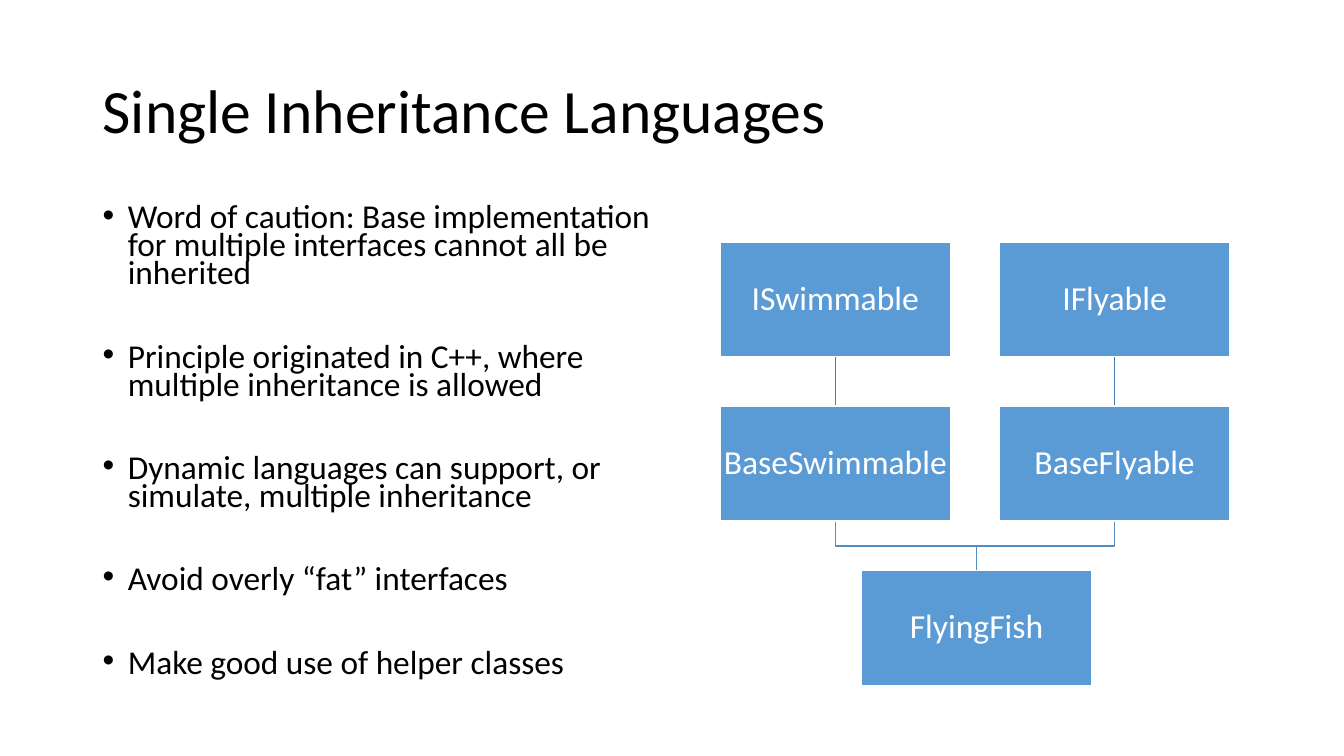
from pptx import Presentation
from pptx.dml.color import RGBColor
from pptx.enum.shapes import MSO_CONNECTOR, MSO_SHAPE
from pptx.enum.text import MSO_ANCHOR, PP_ALIGN
from pptx.oxml.ns import qn
from pptx.util import Inches, Pt
from lxml import etree

BLACK = RGBColor(0, 0, 0)
WHITE = RGBColor(255, 255, 255)
BLUE = RGBColor(0x5B, 0x9B, 0xD5)
STEEL = RGBColor(0x49, 0x7C, 0xAB)
SKY = RGBColor(0x53, 0x8D, 0xC1)
STRAIGHT = MSO_CONNECTOR.STRAIGHT
RECT = MSO_SHAPE.RECTANGLE
MIDDLE = MSO_ANCHOR.MIDDLE
CENTER = PP_ALIGN.CENTER
FONT = "Calibri"

TITLE = "Single Inheritance Languages"
POINTS = [
    "Word of caution: Base implementation for multiple interfaces cannot all be inherited",
    "Principle originated in C++, where multiple inheritance is allowed",
    "Dynamic languages can support, or simulate, multiple inheritance",
    "Avoid overly “fat” interfaces",
    "Make good use of helper classes",
]
CHAINS = [("ISwimmable", "BaseSwimmable"), ("IFlyable", "BaseFlyable")]
CHILD = "FlyingFish"


def style(para, size, color, spacing):
    para.font.name = FONT
    para.font.size = Pt(size)
    para.font.color.rgb = color
    para.line_spacing = spacing


def add_frame(slide, left, top, width, height):
    box = slide.shapes.add_textbox(
        Inches(left), Inches(top), Inches(width), Inches(height))
    box.text_frame.word_wrap = True
    return box.text_frame


def add_title(slide, left, top, width, height):
    frame = add_frame(slide, left, top, width, height)
    frame.vertical_anchor = MIDDLE
    frame.text = TITLE
    style(frame.paragraphs[0], 44, BLACK, 0.9)


def add_points(slide, left, top, width, height):
    frame = add_frame(slide, left, top, width, height)
    frame.text = "\n".join(POINTS)
    for i, para in enumerate(frame.paragraphs):
        style(para, 23.8, BLACK, 0.7)
        para.space_before = Pt(39.5 if i else 0)
        props = para._p.get_or_add_pPr()
        props.set("marL", str(Inches(0.25)))
        props.set("indent", str(-Inches(0.25)))
        font = etree.SubElement(props, qn("a:buFont"))
        font.set("typeface", "Arial")
        mark = etree.SubElement(props, qn("a:buChar"))
        mark.set("char", "•")
        props.append(props.find(qn("a:defRPr")))


def add_node(slide, text, left, top, width, height):
    node = slide.shapes.add_shape(
        RECT, Inches(left), Inches(top), Inches(width), Inches(height))
    node.shadow.inherit = False
    node.fill.solid()
    node.fill.fore_color.rgb = BLUE
    node.line.color.rgb = WHITE
    node.line.width = Pt(1)
    frame = node.text_frame
    frame.word_wrap = True
    frame.vertical_anchor = MIDDLE
    frame.margin_left = frame.margin_right = Inches(0.02)
    frame.margin_top = frame.margin_bottom = Inches(0.02)
    frame.text = text
    para = frame.paragraphs[0]
    para.alignment = CENTER
    style(para, 24, WHITE, 0.9)


def add_link(slide, x, top, bottom):
    link = slide.shapes.add_connector(
        STRAIGHT, Inches(x), Inches(top), Inches(x), Inches(bottom))
    link.line.color.rgb = STEEL
    link.line.width = Pt(1)
    etree.SubElement(link._element.spPr, qn("a:effectLst"))


def add_elbow(slide, start, end):
    (x1, y1), (x2, y2) = start, end
    mid = (y1 + y2) / 2
    pen = slide.shapes.build_freeform(Inches(x1), Inches(y1))
    turns = [(x1, mid), (x2, mid), (x2, y2)]
    pen.add_line_segments(
        [(Inches(x), Inches(y)) for x, y in turns], close=False)
    elbow = pen.convert_to_shape()
    elbow.shadow.inherit = False
    elbow.fill.background()
    elbow.line.color.rgb = SKY
    elbow.line.width = Pt(1)


def add_tree(slide, left, top, width, height):
    wide, high = 2.29, 1.14
    step = (height - high) / 2
    rows = [top + i * step for i in range(3)]
    cols = [left, left + width - wide]
    mid = left + 1.4
    for x in cols:
        axis = x + wide / 2
        add_link(slide, axis, rows[0] + high, rows[1])
        add_elbow(slide, (axis, rows[1] + high), (mid + wide / 2, rows[2]))
    for x, chain in zip(cols, CHAINS):
        for y, name in zip(rows, chain):
            add_node(slide, name, x, y, wide, high)
    add_node(slide, CHILD, mid, rows[2], wide, high)


def main():
    deck = Presentation()
    deck.slide_width = Inches(13.33)
    deck.slide_height = Inches(7.5)
    slide = deck.slides.add_slide(deck.slide_layouts[6])
    add_title(slide, 0.92, 0.4, 11.5, 1.45)
    add_points(slide, 0.92, 2, 5.67, 4.97)
    add_tree(slide, 7.14, 2.4, 5.06, 4.4)
    deck.save("out.pptx")


if __name__ == "__main__":
    main()
